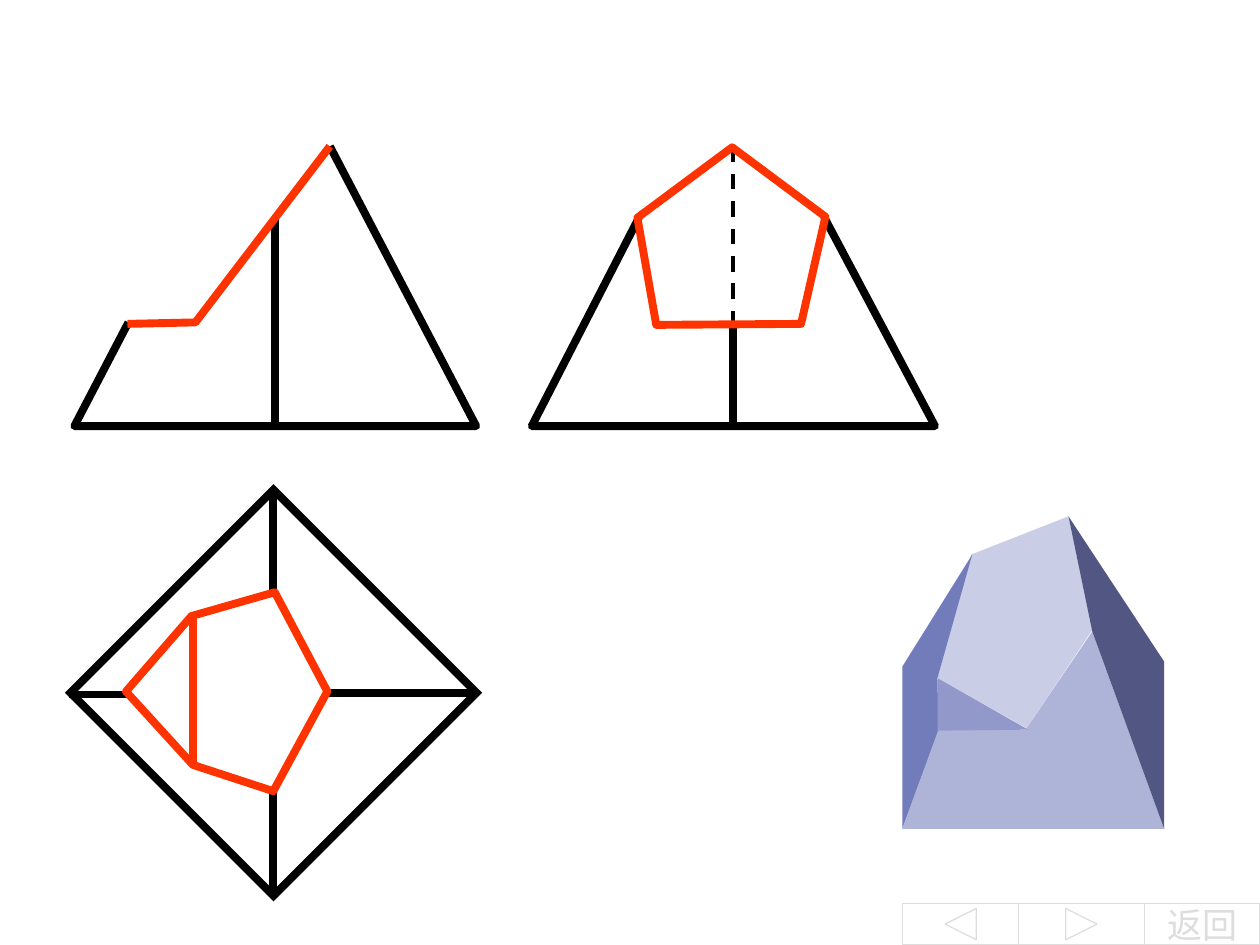
"""Three views and a solid picture of a notched square pyramid, with navigation buttons."""
from lxml.etree import SubElement
from pptx import Presentation
from pptx.dml.color import RGBColor
from pptx.enum.dml import MSO_LINE
from pptx.enum.shapes import MSO_CONNECTOR, MSO_SHAPE
from pptx.enum.text import MSO_ANCHOR, PP_ALIGN
from pptx.oxml.ns import qn
from pptx.util import Cm, Pt

BLACK, RED, GREY = "000000", "FF3300", "DDDDDD"


def color(value):
    return RGBColor.from_string(value)


def polygon(points, closed):
    corners = [(Cm(x), Cm(y)) for x, y in points]
    builder = page.shapes.build_freeform(*corners[0])
    builder.add_line_segments(corners[1:], close=closed)
    shape = builder.convert_to_shape()
    shape.shadow.inherit = False
    return shape


deck = Presentation()
deck.slide_width, deck.slide_height = Cm(25.4), Cm(19.05)
page = deck.slides.add_slide(deck.slide_layouts[6])

solid_faces = [
    ("CACDE6", [(21.54, 10.41), (19.58, 11.18), (18.9, 13.67), (20.7, 14.68), (22.02, 12.7)]),
    ("737CBB", [(18.19, 13.44), (19.6, 11.18), (18.9, 13.67), (18.92, 14.73), (18.19, 16.71)]),
    ("AEB3D8", [(23.47, 16.71), (18.19, 16.71), (18.92, 14.71), (20.68, 14.71), (22.02, 12.73)]),
    ("515683", [(21.54, 10.41), (23.47, 13.34), (23.47, 16.71), (22.02, 12.73)]),
    ("9299CA", [(18.9, 13.67), (20.73, 14.71), (18.9, 14.73)]),
]
for fill, points in solid_faces:
    face = polygon(points, True)
    face.fill.solid()
    face.fill.fore_color.rgb = color(fill)
    face.line.fill.background()

base = page.shapes.add_shape(MSO_SHAPE.RECTANGLE, Cm(2.62), Cm(11.07), Cm(5.79), Cm(5.79))
base.rotation = 315
base.shadow.inherit = False
base.fill.background()
base.line.color.rgb = color(BLACK)
base.line.width = Pt(4.5)
SubElement(base.line._get_or_add_ln(), qn("a:miter"), lim="800000")

edges = [
    ((5.54, 4.39), (5.54, 8.56), BLACK, 4.5),
    ((9.55, 13.97), (6.58, 13.97), BLACK, 4.5),
    ((2.59, 14), (1.4, 14), BLACK, 4.5),
    ((5.51, 9.88), (5.51, 11.99), BLACK, 4.5),
    ((5.51, 18.03), (5.51, 15.93), BLACK, 4.5),
    ((14.78, 6.48), (14.78, 8.53), BLACK, 4.5),
    ((14.78, 2.95), (14.78, 6.5), BLACK, 2.25),
    ((3.89, 12.4), (3.89, 15.42), RED, 4.5),
]
for start, end, stroke, width in edges:
    edge = page.shapes.add_connector(
        MSO_CONNECTOR.STRAIGHT, *(Cm(value) for value in start + end))
    edge.line.color.rgb = color(stroke)
    edge.line.width = Pt(width)
    if width < 4.5:
        edge.line.dash_style = MSO_LINE.DASH
    SubElement(edge._element.spPr, qn("a:effectLst"))

outlines = [
    (BLACK, False, [(2.59, 6.5), (1.5, 8.59), (9.6, 8.59), (6.65, 2.95)]),
    (BLACK, False, [(12.88, 4.39), (10.72, 8.59), (18.85, 8.59), (16.61, 4.37)]),
    (RED, False, [(2.57, 6.53), (3.94, 6.5), (6.65, 2.95)]),
    (RED, True, [(6.6, 13.94), (5.54, 11.94), (3.86, 12.42), (2.54, 13.94),
                 (3.89, 15.42), (5.51, 15.95)]),
    (RED, True, [(13.23, 6.55), (16.15, 6.53), (16.64, 4.37), (14.76, 2.97), (12.85, 4.39)]),
]
for stroke, closed, points in outlines:
    outline = polygon(points, closed)
    outline.fill.background()
    outline.line.color.rgb = color(stroke)
    outline.line.width = Pt(4.5)
    SubElement(outline.line._get_or_add_ln(), qn("a:round"))

left = 18.2
buttons = [
    (MSO_SHAPE.ACTION_BUTTON_BACK_OR_PREVIOUS, 2.33, ""),
    (MSO_SHAPE.ACTION_BUTTON_FORWARD_OR_NEXT, 2.54, ""),
    (MSO_SHAPE.ACTION_BUTTON_CUSTOM, 2.33, "返回"),
]
for preset, width, label in buttons:
    button = page.shapes.add_shape(preset, Cm(left), Cm(18.21), Cm(width), Cm(0.84))
    button.shadow.inherit = False
    button.fill.background()
    button.line.color.rgb = color(GREY)
    button.line.width = Pt(0.75)
    left += width
    if label:
        frame = button.text_frame
        frame.text = label
        frame.margin_left = frame.margin_right = frame.margin_top = frame.margin_bottom = 0
        frame.vertical_anchor = MSO_ANCHOR.MIDDLE
        para = frame.paragraphs[0]
        para.alignment = PP_ALIGN.CENTER
        span = para.runs[0]
        span.font.name = "Calibri"
        span.font.size = Pt(20)
        span.font.color.rgb = color(GREY)

deck.save("out.pptx")
